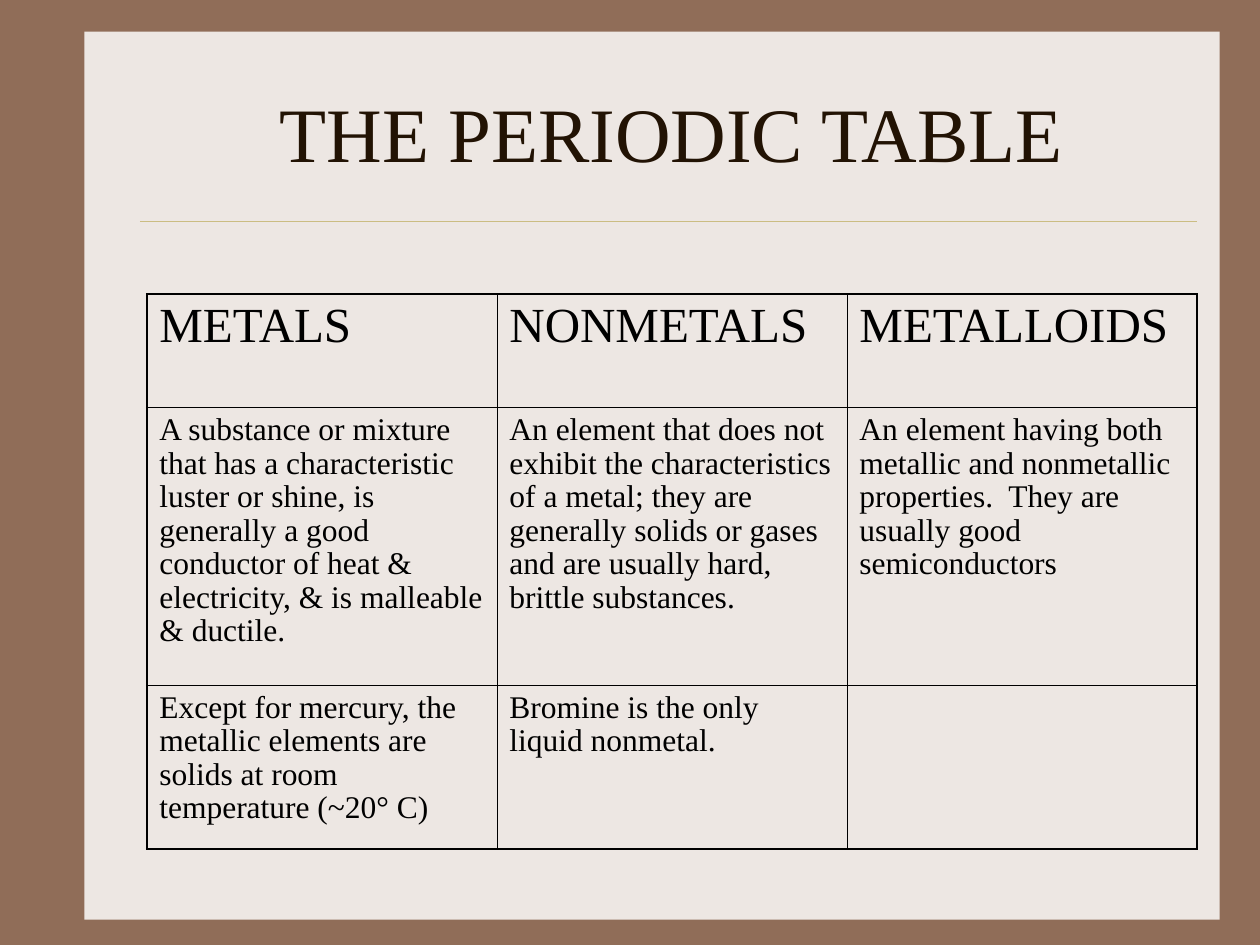
import pptx
import pptx.util
import pptx.dml.color
import pptx.enum.shapes
import pptx.enum.text
import pptx.oxml
import pptx.oxml.ns

Cm, Pt = pptx.util.Cm, pptx.util.Pt
RGB = pptx.dml.color.RGBColor

BROWN = RGB(0x90, 0x6D, 0x58)
CREAM = RGB(0xED, 0xE7, 0xE3)
GOLD = RGB(0xCB, 0xBD, 0x83)
DARK = RGB(0x22, 0x13, 0x04)
BLACK = RGB(0, 0, 0)
FONT = "Times New Roman"
THICK, THIN = 1.08, 0.45

ROWS = [
    ["METALS", "NONMETALS", "METALLOIDS"],
    [
        "A substance or mixture that has a characteristic luster or shine, is "
        "generally a good conductor of heat & electricity, & is malleable & ductile.",
        "An element that does not exhibit the characteristics of a metal; they are "
        "generally solids or gases and are usually hard, brittle substances.",
        "An element having both metallic and nonmetallic properties.  They are "
        "usually good semiconductors",
    ],
    [
        "Except for mercury, the metallic elements are solids at room "
        "temperature (~20° C)",
        "Bromine is the only liquid nonmetal.",
        "",
    ],
]
HEIGHTS = [2.29, 5.59, 3.3]
SIZES = [28, 18, 18]


def style(para, size, color):
    para.font.name = FONT
    para.font.size = Pt(size)
    para.font.color.rgb = color


def add_panel(slide):
    panel = slide.shapes.add_shape(
        pptx.enum.shapes.MSO_SHAPE.RECTANGLE, Cm(1.7), Cm(0.64), Cm(22.89), Cm(17.9))
    panel.shadow.inherit = False
    panel.fill.solid()
    panel.fill.fore_color.rgb = CREAM
    panel.line.fill.background()


def add_rule(slide):
    rule = slide.shapes.add_connector(
        pptx.enum.shapes.MSO_CONNECTOR.STRAIGHT, Cm(2.82), Cm(4.45), Cm(24.13), Cm(4.45))
    rule.line.color.rgb = GOLD
    rule.line.width = Pt(0.25)
    props = rule._element.spPr
    props.append(pptx.oxml.parse_xml(
        f"<a:effectLst {pptx.oxml.ns.nsdecls('a')}/>"))


def add_title(slide, text):
    box = slide.shapes.add_textbox(Cm(2.96), Cm(1.07), Cm(21.17), Cm(3.18))
    frame = box.text_frame
    frame.word_wrap = True
    frame.vertical_anchor = pptx.enum.text.MSO_ANCHOR.MIDDLE
    para = frame.paragraphs[0]
    para.text = text
    para.alignment = pptx.enum.text.PP_ALIGN.CENTER
    style(para, 44, DARK)


def set_edges(cell, widths):
    # Borders come before the fill in the cell properties
    props = cell._tc.get_or_add_tcPr()
    for spot, (side, width) in enumerate(widths.items()):
        props.insert(spot, pptx.oxml.parse_xml(
            f"<a:ln{side} {pptx.oxml.ns.nsdecls('a')} w=\"{int(Pt(width))}\">"
            f"<a:solidFill><a:srgbClr val=\"{BLACK}\"/></a:solidFill></a:ln{side}>"))


def add_grid(slide):
    count, last = len(ROWS[0]), len(ROWS) - 1
    grid = slide.shapes.add_table(
        len(ROWS), count, Cm(2.96), Cm(5.93), Cm(21.17), Cm(sum(HEIGHTS))).table
    grid.first_row = False
    grid.horz_banding = False
    for row, texts in enumerate(ROWS):
        grid.rows[row].height = Cm(HEIGHTS[row])
        for col, text in enumerate(texts):
            cell = grid.cell(row, col)
            cell.fill.background()
            # Thick frame, thin inner lines
            set_edges(cell, {
                "L": THICK if col == 0 else THIN,
                "R": THICK if col == count - 1 else THIN,
                "T": THICK if row == 0 else THIN,
                "B": THICK if row == last else THIN,
            })
            para = cell.text_frame.paragraphs[0]
            para.text = text
            para.line_spacing = 0.96
            style(para, SIZES[row], BLACK)


def main():
    deck = pptx.Presentation()
    deck.slide_width, deck.slide_height = Cm(25.4), Cm(19.05)
    slide = deck.slides.add_slide(deck.slide_layouts[6])

    # Backdrop
    slide.background.fill.solid()
    slide.background.fill.fore_color.rgb = BROWN
    add_panel(slide)
    add_rule(slide)

    # Content
    add_title(slide, "THE PERIODIC TABLE")
    add_grid(slide)
    deck.save("out.pptx")


if __name__ == "__main__":
    main()
